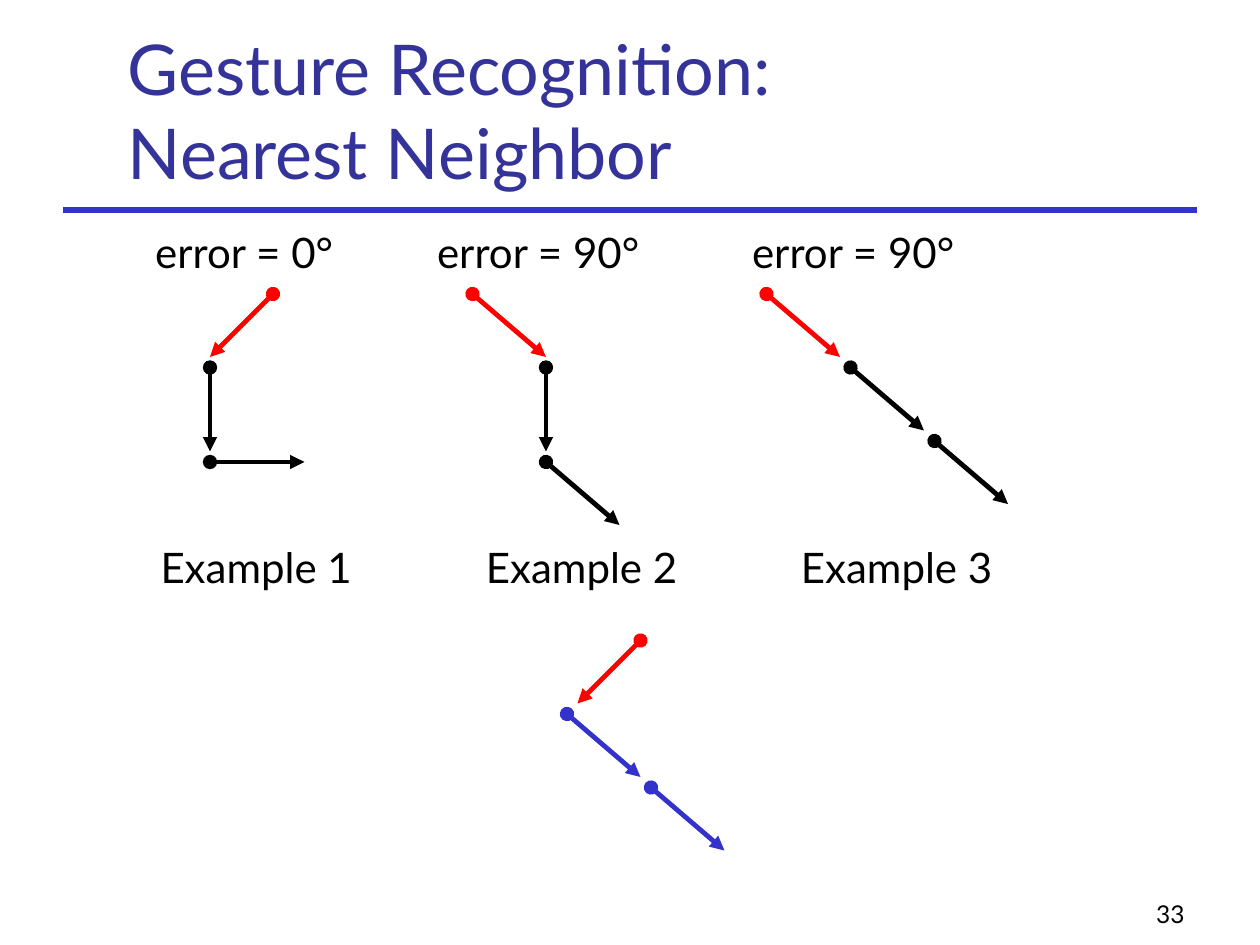
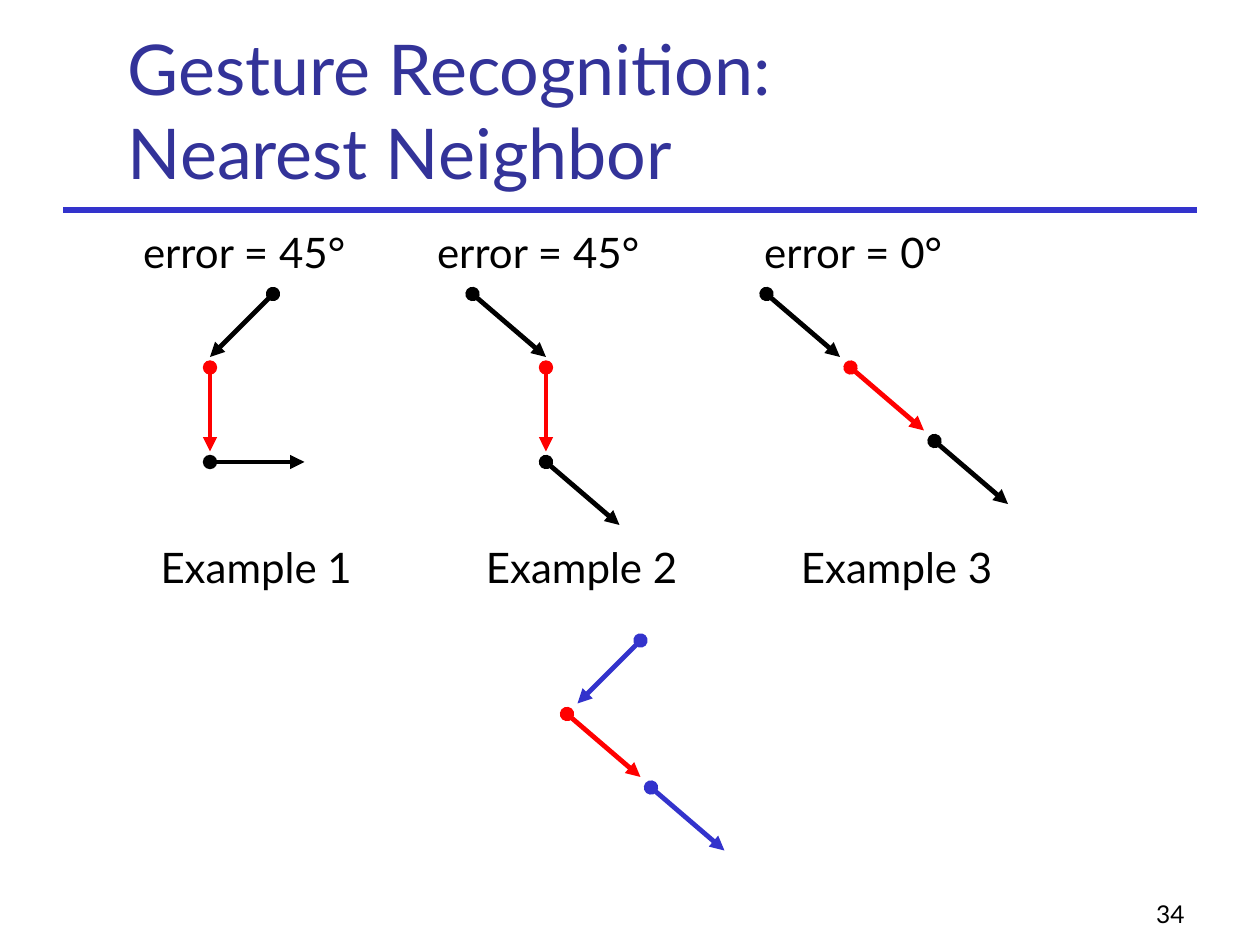
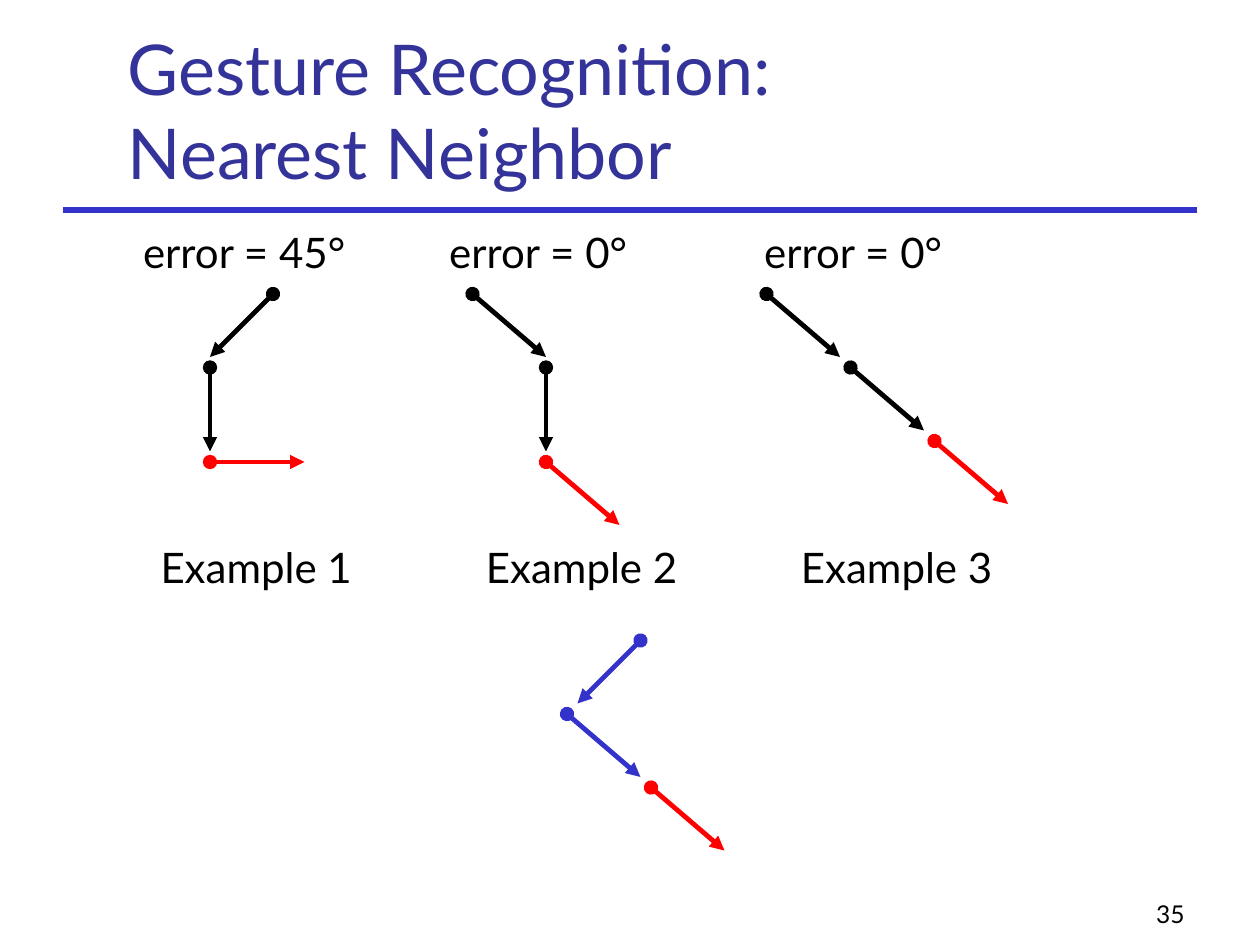
from dataclasses import dataclass

from lxml import etree
from pptx import Presentation
from pptx import util as u
from pptx.dml.color import RGBColor
from pptx.enum import shapes, text
from pptx.oxml.ns import qn


@dataclass(frozen=True)
class Theme:
    face: str = "Lato"
    title: str = "333399"
    blue: str = "3333CC"
    ink: str = "000000"
    mark: str = "FF0000"
    head: float = 40
    body: float = 24
    foot: float = 14
    rule: float = 3
    stroke: float = 2.75


@dataclass(frozen=True)
class Sample:
    """A gesture: its corner, the centres of its labels, and its strokes.

    Centres and strokes count from the corner, in grid steps.
    """
    left: float
    top: float
    strokes: tuple
    error: float = 0
    name: float = 0


T = Theme()
SAMPLES = (
    Sample(20, 28, ((6, 0, 0, 6), (0, 7, 0, 15), (0, 16, 9, 16)), 3.25, 4.4),
    Sample(45, 28, ((0, 0, 7, 6), (7, 7, 7, 15), (7, 16, 14, 22)), 6.25, 10.4),
    Sample(73, 28, ((0, 0, 7, 6), (8, 7, 15, 13), (16, 14, 23, 20)), 8.25, 12.4),
)
QUERY = Sample(54, 61, ((7, 0, 1, 6), (0, 7, 7, 13), (8, 14, 15, 20)))
ERRORS = ((0, 90, 90), (45, 45, 0), (45, 0, 0))
FIRST = 33


def step(count):
    """Length of so many grid steps, twelve to the inch."""
    return u.Cm(count * 2.54 / 12)


def label(slide, box, lines, size, color, align, anchor):
    frame = slide.shapes.add_textbox(*map(step, box)).text_frame
    frame.word_wrap = True
    frame.vertical_anchor = anchor
    para = frame.paragraphs[0]
    for i, line in enumerate(lines):
        if i:
            para.add_line_break()
        para.add_run().text = line
    para.alignment = align
    font = para.font
    font.name, font.size = T.face, u.Pt(size)
    font.color.rgb = RGBColor.from_string(color)


def segment(slide, ends, color, width):
    line = slide.shapes.add_connector(
        shapes.MSO_CONNECTOR.STRAIGHT, *map(step, ends))
    line.line.color.rgb = RGBColor.from_string(color)
    line.line.width = u.Pt(width)
    props = line._element.spPr
    etree.SubElement(props, qn("a:effectLst"))
    return props.find(qn("a:ln"))


def gesture(slide, sample, active, color):
    """Draw the strokes as arrows, with the active one marked."""
    for i, (x1, y1, x2, y2) in enumerate(sample.strokes):
        ends = (sample.left + x1, sample.top + y1,
                sample.left + x2, sample.top + y2)
        outline = segment(slide, ends, T.mark if i == active else color, T.stroke)
        for tag, kind in (("a:headEnd", "oval"), ("a:tailEnd", "triangle")):
            etree.SubElement(outline, qn(tag), type=kind)


def example(slide, sample, number, error, active):
    gesture(slide, sample, active, T.ink)
    wide = 24
    for words, mid, drop in ((f"error = {error}°", sample.error, -7),
                             (f"Example {number}", sample.name, 23)):
        box = (sample.left + mid - wide / 2, sample.top + drop, wide, 6)
        label(slide, box, [words], T.body, T.ink,
              text.PP_ALIGN.CENTER, text.MSO_ANCHOR.TOP)


def frame(slide, number):
    """Add the rule, title and slide number that all slides share."""
    segment(slide, (6, 20, 114, 20), T.blue, T.rule)
    label(slide, (11, 4, 102, 15), ["Gesture Recognition:", "Nearest Neighbor"],
          T.head, T.title, text.PP_ALIGN.LEFT, text.MSO_ANCHOR.BOTTOM)
    label(slide, (89, 83, 25, 6), [str(number)],
          T.foot, T.ink, text.PP_ALIGN.RIGHT, text.MSO_ANCHOR.BOTTOM)


def main():
    deck = Presentation()
    deck.slide_width, deck.slide_height = u.Cm(25.4), u.Cm(19.05)
    for active, errors in enumerate(ERRORS):
        slide = deck.slides.add_slide(deck.slide_layouts[6])
        frame(slide, FIRST + active)
        for number, (sample, error) in enumerate(zip(SAMPLES, errors), 1):
            example(slide, sample, number, error, active)
        gesture(slide, QUERY, active, T.blue)
    deck.save("out.pptx")


if __name__ == "__main__":
    main()
